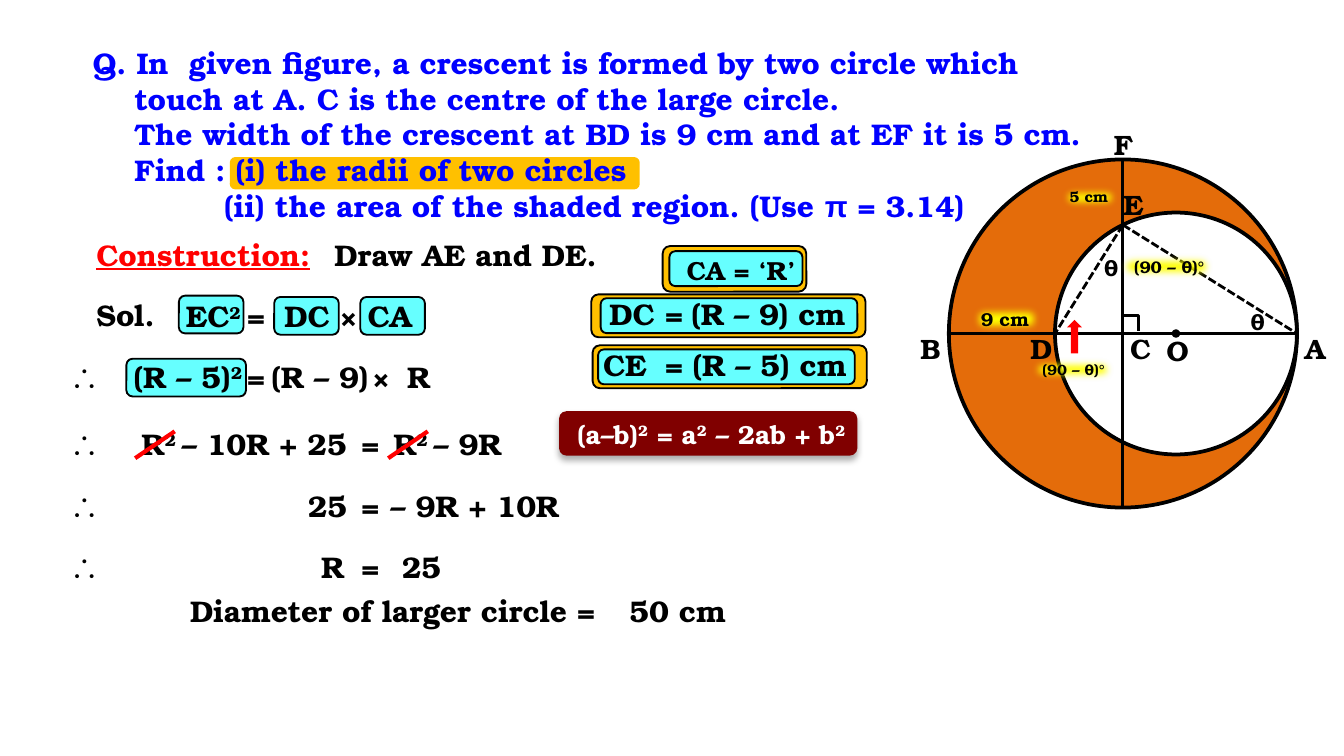
from math import sqrt

from lxml.etree import SubElement
from pptx import Presentation
from pptx.dml.color import RGBColor
from pptx.enum.dml import MSO_LINE
from pptx.enum.shapes import MSO_CONNECTOR, MSO_SHAPE
from pptx.enum.text import MSO_ANCHOR, PP_ALIGN
from pptx.oxml.ns import qn
from pptx.util import Pt

COLORS = {"black": "000000", "white": "FFFFFF", "blue": "0000FF", "red": "FF0000",
          "amber": "FFC000", "cyan": "66FFFF", "orange": "E46C0A",
          "maroon": "800000", "yellow": "FFFF00"}
SERIF, SYMBOL = "TeX Gyre Bonum", "Arial"
INSET_X, INSET_Y, TEXT_H = 7.2, 3.6, 26.6

# Question: text, left indent; π is set in the symbol font
QUESTION = [
    ("Q. In  given figure, a crescent is formed by two circle which", 0),
    ("touch at A. C is the centre of the large circle.", 22.4),
    ("The width of the crescent at BD is 9 cm and at EF it is 5 cm.", 22.4),
    ("Find : (i) the radii of two circles", 22.4),
    ("(ii) the area of the shaded region. (Use π = 3.14)", 70.5),
]

# Rounded boxes: left, top, width, height, fill, outlined
BOXES = [
    (355, 131.8, 77, 24.5, "amber", True),
    (358.6, 134.6, 71.3, 18.7, "cyan", True),
    (123.1, 84.2, 219.6, 17.3, "amber", False),
    (67.7, 192.2, 64.1, 20.2, "cyan", True),
    (193, 159.1, 34.6, 20.2, "cyan", True),
    (146.9, 159.1, 34.6, 20.2, "cyan", True),
    (95.8, 158.4, 34.6, 20.2, "cyan", True),
    (316.8, 157.7, 146.9, 23, "amber", True),
    (321.8, 159.8, 137.5, 18.7, "cyan", True),
    (317.5, 185, 146.9, 23, "amber", True),
    (320.4, 187.2, 137.5, 18.7, "cyan", True),
]

# Working: top, then (text, left, width); ^ switches superscript on and off
EQUATIONS = [
    (154.8, [("DC", 318.2, 39.6), ("=", 348.5, 24.5), ("(R – 9) cm", 355, 105.1)]),
    (182.2, [("CE", 298.1, 55.4), ("=", 348.5, 24.5), ("(R – 5) cm", 355.7, 105.1)]),
    (156.2, [("EC^2", 88.6, 47.5), ("=", 124.6, 24.5), ("DC × CA", 138.2, 89.3)]),
    (188.6, [("(R – 5)^2", 59.8, 77), ("=", 124.6, 24.5), ("(R – 9)", 132.5, 72),
             ("×", 193, 23), ("R", 210.2, 27.4)]),
    (224.6, [("R^2 ^– 10R + 25", 55.4, 137.5), ("=", 185.8, 24.5),
             ("R^2 ^– 9R", 198, 77.8)]),
    (257.8, [("25", 146.2, 46.8), ("=", 185.8, 24.5), ("– 9R + 10R", 195.1, 111.6)]),
    (290.2, [("R", 144.7, 46.8), ("=", 185.8, 24.5), ("25", 204.5, 38.9)]),
    (313.9, [("Diameter of larger circle =", 71.3, 254.9), ("50 cm", 324, 72)]),
]
THEREFORE_TOPS = [188.6, 224.6, 257.8, 290.2]
STRIKES = [93.6, 229.2]

# Figure labels: text, left, top, width
POINTS = [("B", 486, 174.2, 16.6), ("A", 691.9, 174.2, 22.3), ("F", 589.7, 64.8, 16.6),
          ("E", 594.7, 97.2, 18.7), ("D", 545, 174.2, 16.6), ("C", 598.3, 174.2, 16.6),
          ("O", 617.8, 175, 31.7)]
ANGLES = [("θ", 584.6, 132.5, 21.6), ("θ", 663.1, 161.3, 21.6)]
# Soft yellow tags: text, left, top, width, height, size, rotation, right aligned
TAGS = [("9 cm", 518.4, 161.3, 41.8, 19.4, 10, 359.8, False),
        ("5 cm", 565.9, 97.2, 36, 17.3, 8, 359.8, False),
        ("(90 – θ)°", 597.6, 133.9, 54.7, 18, 9, 0, True),
        ("(90 – θ)°", 550.1, 189.4, 49, 17.3, 8, 0, True)]

# Circle geometry
A_X, AXIS_Y, R_BIG, R_SMALL = 694.8, 178.7, 93.25, 64.8
C_X, O_X, B_X, D_X = A_X - R_BIG, A_X - R_SMALL, A_X - 2 * R_BIG, A_X - 2 * R_SMALL
E_Y = AXIS_Y - sqrt((C_X - D_X) * R_BIG)

prs = Presentation()
prs.slide_width, prs.slide_height = Pt(720), Pt(405)
s = prs.slides.add_slide(prs.slide_layouts[6])


def rgb(name):
    return RGBColor.from_string(COLORS[name])


def style(sp, fill, line=None, width=1):
    sp.shadow.inherit = False
    if fill:
        sp.fill.solid()
        sp.fill.fore_color.rgb = rgb(fill)
    else:
        sp.fill.background()
    if line:
        sp.line.color.rgb, sp.line.width = rgb(line), Pt(width)
    else:
        sp.line.fill.background()
    return sp


def shape(kind, x, y, w, h, fill, line=None, width=1):
    sp = s.shapes.add_shape(kind, Pt(x), Pt(y), Pt(w), Pt(h))
    return style(sp, fill, line, width)


def circle(x, r, fill, width):
    return shape(MSO_SHAPE.OVAL, x - r, AXIS_Y - r, 2 * r, 2 * r, fill, "black", width)


def effect(sp, tag, **attrs):
    effects = sp._element.spPr.find(qn("a:effectLst"))
    return SubElement(effects, qn(tag), {k: str(v) for k, v in attrs.items()})


def line(x1, y1, x2, y2, color="black", width=1.5, dashed=False):
    cn = s.shapes.add_connector(MSO_CONNECTOR.STRAIGHT, Pt(x1), Pt(y1), Pt(x2), Pt(y2))
    cn.line.color.rgb, cn.line.width = rgb(color), Pt(width)
    if dashed:
        cn.line.dash_style = MSO_LINE.SQUARE_DOT
    SubElement(cn._element.spPr, qn("a:effectLst"))


def add_run(p, text, color, size, font=SERIF, **extra):
    r = p.add_run()
    r.text = text
    r.font.color.rgb = rgb(color)
    for name, value in {"name": font, "size": Pt(size), "bold": True, **extra}.items():
        setattr(r.font, name, value)
    return r


def write(sp, text, right=False, color="black", size=16, inset_y=INSET_Y, **extra):
    """Text with superscripts, inset only on the side it is aligned to."""
    tf = sp.text_frame
    formats = {"word_wrap": True, "vertical_anchor": MSO_ANCHOR.TOP,
               "margin_left": Pt(0 if right else INSET_X),
               "margin_right": Pt(INSET_X if right else 0),
               "margin_top": Pt(inset_y), "margin_bottom": Pt(inset_y)}
    for name, value in formats.items():
        setattr(tf, name, value)
    p = tf.paragraphs[0]
    p.alignment = PP_ALIGN.RIGHT if right else PP_ALIGN.LEFT
    for i, part in enumerate(text.split("^")):
        if part:
            r = add_run(p, part, color, size, **extra)
            if i % 2:
                r._r.get_or_add_rPr().set("baseline", "30000")


def label(text, x, y, w, h=TEXT_H, **formats):
    write(s.shapes.add_textbox(Pt(x), Pt(y), Pt(w), Pt(h)), text, **formats)


# Highlight boxes
for x, y, w, h, fill, outlined in BOXES:
    shape(MSO_SHAPE.ROUNDED_RECTANGLE, x, y, w, h, fill, "black" if outlined else None)

# Question
tf = s.shapes.add_textbox(Pt(42.5), Pt(20.2), Pt(641.5), Pt(123.8)).text_frame
tf.word_wrap = True
for i, (text, indent) in enumerate(QUESTION):
    p = tf.paragraphs[0] if i == 0 else tf.add_paragraph()
    p._p.get_or_add_pPr().set("marL", str(Pt(indent)))
    before, pi, after = text.partition("π")
    for part, font in ((before, SERIF), (pi, SYMBOL), (after, SERIF)):
        if part:
            add_run(p, part, "blue", 16, font)

# Construction line
label("Construction:", 44.6, 123.1, 136.8, color="red", underline=True)
label("Draw AE and DE.", 172.1, 123.1, 162.7)

# Crescent figure
circle(C_X, R_BIG, "orange", 2)
circle(O_X, R_SMALL, "white", 2)
line(B_X, AXIS_Y, A_X, AXIS_Y)
for text, x, y, w in POINTS:
    label(text, x, y, w, size=15)
circle(O_X, 1.1, "black", 2.25)
line(C_X, E_Y, A_X, AXIS_Y, dashed=True)
line(C_X, E_Y, D_X, AXIS_Y, dashed=True)
line(C_X, AXIS_Y - R_BIG, C_X, AXIS_Y + R_BIG)
for text, x, y, w in ANGLES:
    label(text, x, y, w, right=True, size=12)

# Identity banner
banner = shape(MSO_SHAPE.ROUNDED_RECTANGLE, 299.5, 220.3, 159.8, 23.8, "maroon")
shadow = effect(banner, "a:outerShdw", blurRad=Pt(3.5), dist=Pt(2.2), dir=5400000, rotWithShape=0)
clr = SubElement(shadow, qn("a:srgbClr"), val=COLORS["black"])
SubElement(clr, qn("a:alpha"), val="32000")
label("(a–b)^2^ = a^2^ – 2ab + b^2", 293, 223.9, 167, 17.3, right=True, color="white",
      size=14, inset_y=0)

# Working
label("Sol.", 44.6, 155.5, 48.2)
label("CA = ‘R’", 360.7, 132.5, 73.4, size=14)
for top, parts in EQUATIONS:
    for text, x, w in parts:
        label(text, x, top, w, right=True)
for top in THEREFORE_TOPS:
    label("∴", 30.2, top, 23, font=SYMBOL)
for x in STRIKES:
    line(x, 231.1, x - 21.2, 245.5, "red", 2.25)

# Figure tags, arrow and right angle
for text, x, y, w, h, size, rotation, right in TAGS:
    sp = shape(MSO_SHAPE.RECTANGLE, x, y, w, h, "yellow")
    sp.rotation = rotation
    effect(sp, "a:softEdge", rad=Pt(5))
    write(sp, text, right=right, size=size)
shape(MSO_SHAPE.RIGHT_ARROW, 566.6, 176.4, 18, 7.9, "red").rotation = 270
top, side = 169.2, 8.4
corner = s.shapes.build_freeform(Pt(C_X), Pt(top))
corner.add_line_segments([(Pt(C_X + side), Pt(top)), (Pt(C_X + side), Pt(top + side))],
                         close=False)
style(corner.convert_to_shape(), None, "black", 1.5)

prs.save("out.pptx")
